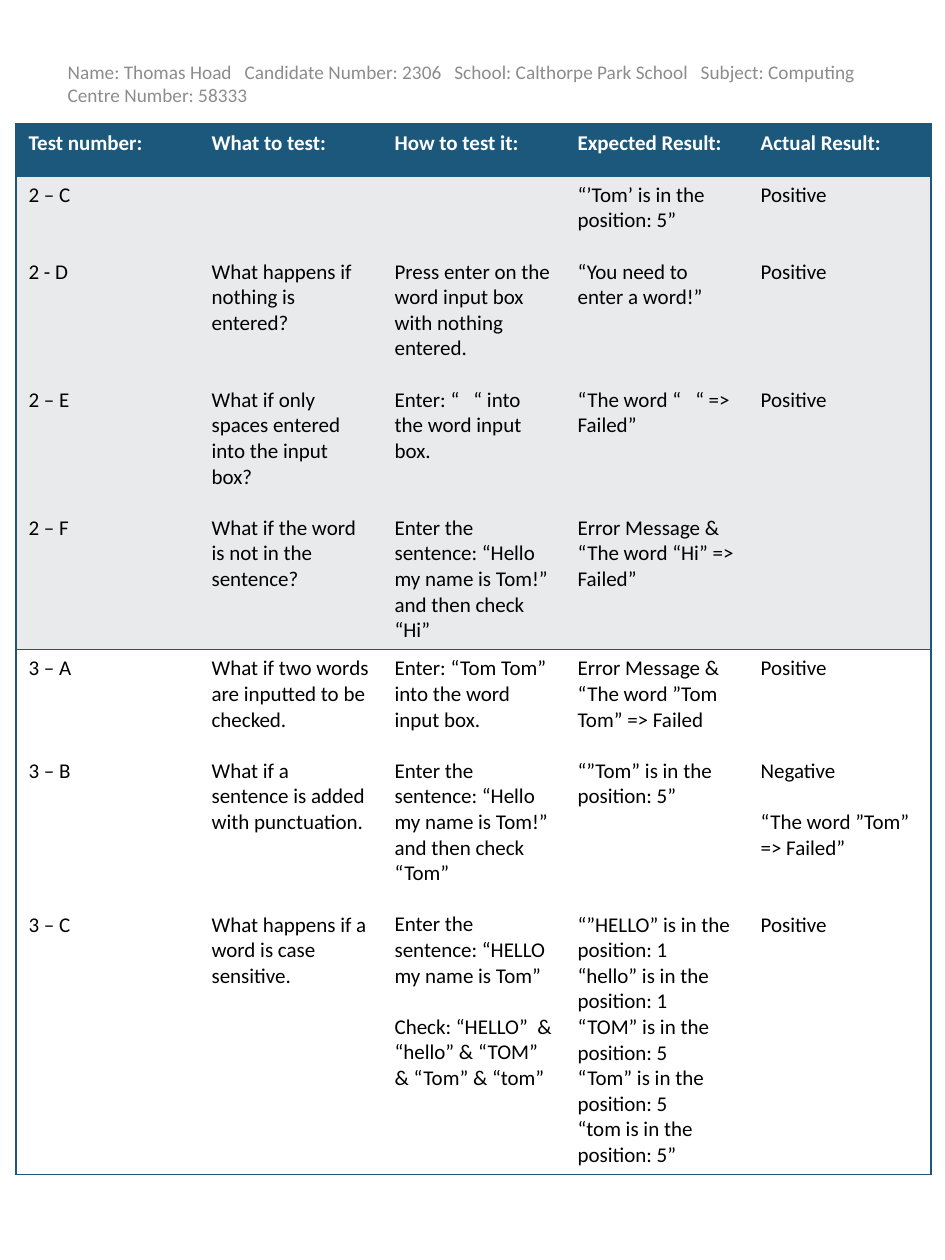
from lxml import etree
from pptx import Presentation
from pptx.dml.color import RGBColor
from pptx.enum.text import MSO_ANCHOR, MSO_AUTO_SIZE, PP_ALIGN
from pptx.oxml.ns import qn
from pptx.util import Pt

LEFT, TOP = PP_ALIGN.LEFT, MSO_ANCHOR.TOP
NO_AUTOFIT = MSO_AUTO_SIZE.NONE

BLUE = RGBColor(0x1B, 0x58, 0x7C)
PALE = RGBColor(0xE8, 0xEA, 0xEC)
WHITE = RGBColor(0xFF, 0xFF, 0xFF)
BLACK = RGBColor(0x00, 0x00, 0x00)
GREY = RGBColor(0x8C, 0x8C, 0x8C)

EMU_PER_PX = 914400 / 126
LINE_HEIGHT = Pt(14.65)  # one line of 12 pt Calibri
PLAIN_TABLE = "{2D5ABB26-0587-4C30-8999-92F81FD0307C}"

DETAILS = ("Name: Thomas Hoad   Candidate Number: 2306   School: Calthorpe Park School   "
           "Subject: Computing   Centre Number: 58333")
HEADINGS = ["Test number:", "What to test:", "How to test it:",
            "Expected Result:", "Actual Result:"]

# Each cell lists (empty lines above, text)
TESTS_2 = [
    [(0, "2 – C"), (2, "2 - D"), (4, "2 – E"), (4, "2 – F")],
    [(3, "What happens if nothing is entered?"),
     (2, "What if only spaces entered into the input box?"),
     (1, "What if the word is not in the sentence?")],
    [(3, "Press enter on the word input box with nothing entered."),
     (1, "Enter: “   “ into the word input box."),
     (2, "Enter the sentence: “Hello my name is Tom!” and then check “Hi”")],
    [(0, "“’Tom’ is in the position: 5”"), (1, "“You need to enter a word!”"),
     (3, "“The word “   “ => Failed”"), (3, "Error Message &"),
     (0, "“The word “Hi” => Failed”")],
    [(0, "Positive"), (2, "Positive"), (4, "Positive")],
]
TESTS_3 = [
    [(0, "3 – A"), (3, "3 – B"), (5, "3 – C")],
    [(0, "What if two words are inputted to be checked."),
     (1, "What if a sentence is added with punctuation."),
     (3, "What happens if a word is case sensitive.")],
    [(0, "Enter: “Tom Tom” into the word input box."),
     (1, "Enter the sentence: “Hello my name is Tom!” and then check “Tom”"),
     (1, "Enter the sentence: “HELLO my name is Tom”"),
     (1, "Check: “HELLO”  & “hello” & “TOM” & “Tom” & “tom”")],
    [(0, "Error Message & “The word ”Tom Tom” => Failed"),
     (1, "“”Tom” is in the position: 5”"), (4, "“”HELLO” is in the position: 1"),
     (0, "“hello” is in the position: 1"), (0, "“TOM” is in the position: 5"),
     (0, "“Tom” is in the position: 5"), (0, "“tom is in the position: 5”")],
    [(0, "Positive"), (3, "Negative"), (1, "“The word ”Tom” => Failed”"),
     (2, "Positive")],
]

# (height, fill, text colour, bold, cells)
ROWS = [
    (52, BLUE, WHITE, True, [[(0, heading)] for heading in HEADINGS]),
    (472, PALE, BLACK, False, TESTS_2),
    (525, WHITE, BLACK, False, TESTS_3),
]


def px(length):
    return round(length * EMU_PER_PX)


def set_all(target, values):
    for name, value in values.items():
        setattr(target, name, value)


class PageBuilder:
    font = "Calibri"

    def __init__(self, page):
        self.page = page

    def add_span(self, para, text, size, color, bold=False):
        span = para.add_run()
        span.text = text
        set_all(span.font, {"name": self.font, "size": Pt(size), "bold": bold})
        span.font.color.rgb = color

    def subtitle(self, left, top, width, height, text):
        box = self.page.placeholders[1]
        set_all(box, {"left": px(left), "top": px(top),
                      "width": px(width), "height": px(height)})
        frame = box.text_frame
        set_all(frame, {"word_wrap": True, "auto_size": NO_AUTOFIT,
                        "vertical_anchor": TOP})
        para = frame.paragraphs[0]
        set_all(para, {"alignment": LEFT, "space_before": Pt(2.2)})
        self.add_span(para, text, 11, GREY)

    def borders(self, cell, sides):
        properties = cell._tc.get_or_add_tcPr()
        for index, side in enumerate(sides):
            line = etree.Element(qn(f"a:ln{side}"), w=str(Pt(1)))
            fill = etree.SubElement(line, qn("a:solidFill"))
            etree.SubElement(fill, qn("a:srgbClr"), val=str(BLUE))
            properties.insert(index, line)

    def fill_cell(self, cell, entries, fill, color, bold):
        cell.fill.solid()
        cell.fill.fore_color.rgb = fill
        cell.vertical_anchor = TOP
        frame = cell.text_frame
        for index, (gap, text) in enumerate(entries):
            if index == 0:
                para = frame.paragraphs[0]
                cell.margin_top = cell.margin_top + gap * LINE_HEIGHT
            else:
                para = frame.add_paragraph()
                para.space_before = gap * LINE_HEIGHT
            self.add_span(para, text, 12, color, bold)

    def table(self, left, top, column_width, rows):
        count = len(rows[0][-1])
        height = sum(row[0] for row in rows)
        frame = self.page.shapes.add_table(len(rows), count, px(left), px(top),
                                           px(column_width * count), px(height))
        table = frame.table
        table._tbl.tblPr.find(qn("a:tableStyleId")).text = PLAIN_TABLE
        for column in table.columns:
            column.width = px(column_width)
        for r, (row_height, fill, color, bold, cells) in enumerate(rows):
            table.rows[r].height = px(row_height)
            for c, entries in enumerate(cells):
                cell = table.cell(r, c)
                self.fill_cell(cell, entries, fill, color, bold)
                outer = {0: "L", count - 1: "R"}.get(c, "")
                self.borders(cell, outer + "TB")


def main():
    deck = Presentation()
    set_all(deck, {"slide_width": px(945), "slide_height": px(1260)})
    page = deck.slides.add_slide(deck.slide_layouts[0])
    title = page.shapes.title.element
    title.getparent().remove(title)
    builder = PageBuilder(page)

    # Candidate details
    builder.subtitle(55, 54, 833, 59, DETAILS)

    # Test results
    builder.table(16, 124, 183, ROWS)

    deck.save("out.pptx")


if __name__ == "__main__":
    main()
